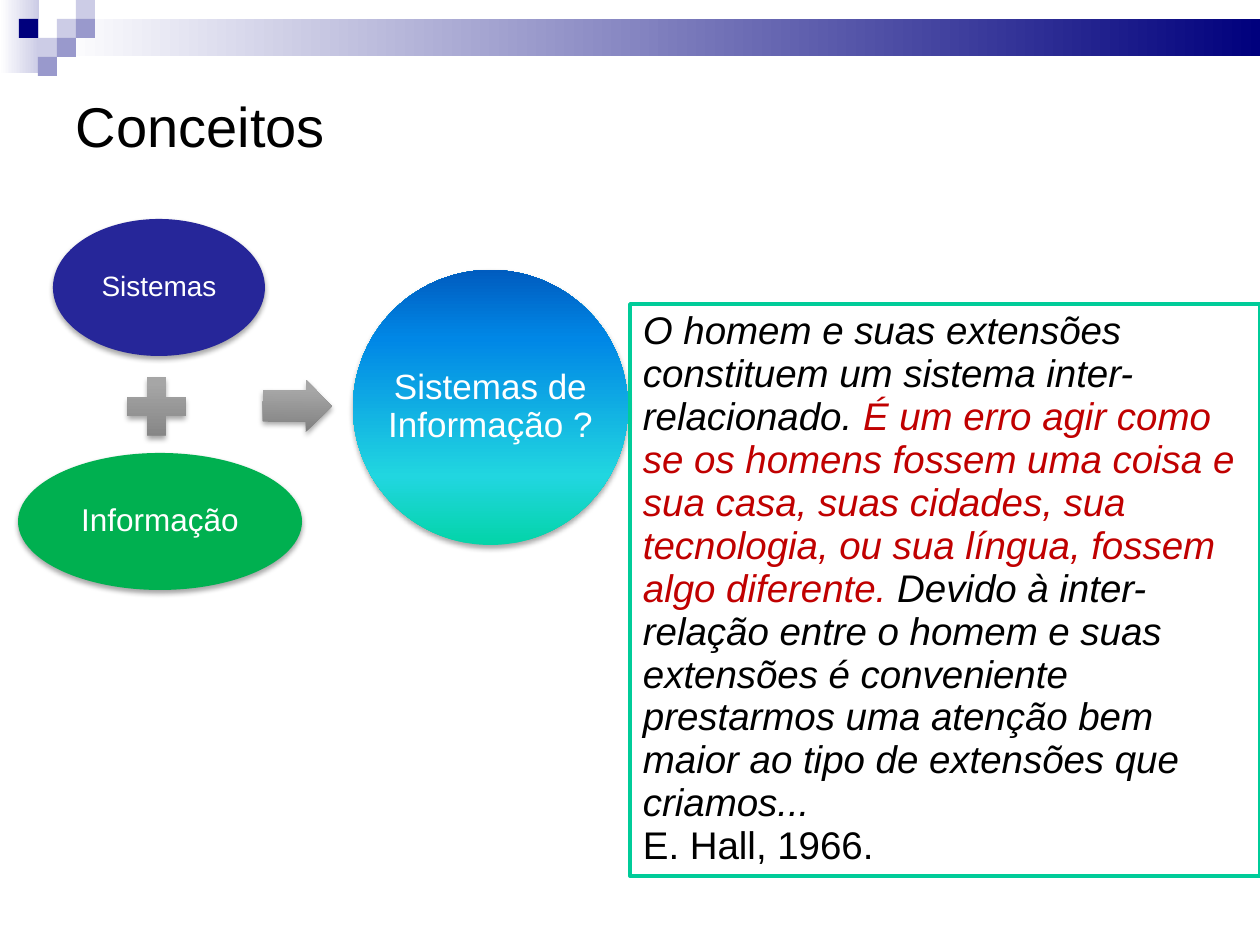
"""Build the slide "Conceitos": systems plus information, beside a quotation."""
from lxml import etree
from pptx import Presentation
from pptx import util as u
from pptx.dml.color import RGBColor
from pptx.enum import shapes, text
from pptx.oxml.ns import qn

PX = 914400 / 126
FONT = "Arial"
BLACK = RGBColor(0, 0, 0)
WHITE = RGBColor(255, 255, 255)
NAVY = RGBColor(0x00, 0x00, 0x7D)
LILAC = RGBColor(0xCC, 0xCC, 0xE6)
VIOLET = RGBColor(0x99, 0x99, 0xCC)
INDIGO = RGBColor(0x26, 0x26, 0x99)
GREEN = RGBColor(0x00, 0xB0, 0x50)
TEAL = RGBColor(0x00, 0xCC, 0x99)
RED = RGBColor(0xC0, 0x00, 0x00)
GREYS = [(0, RGBColor(0x80, 0x80, 0x80)), (80, RGBColor(0xA6, 0xA6, 0xA6)),
         (100, RGBColor(0xA7, 0xA7, 0xA7))]
OCEAN = [(0, RGBColor(0x03, 0xD4, 0xA8)), (25, RGBColor(0x21, 0xD6, 0xE0)),
         (75, RGBColor(0x00, 0x87, 0xE6)), (100, RGBColor(0x00, 0x5C, 0xBF))]

KIND = shapes.MSO_SHAPE
TILE = 19
BANDS = [((0, 0, 39, 73), LILAC), ((57, 19, 1203, 37), NAVY)]
TILES = [(3, 1, LILAC), (4, 0, LILAC), (4, 1, VIOLET), (2, 2, LILAC),
         (1, 1, NAVY), (3, 2, VIOLET), (2, 3, VIOLET)]
TITLE = "Conceitos"
TITLE_AREA = (63, 59, 1134, 198)
DIAGRAM = [
    (KIND.OVAL, (53, 219, 212, 137), INDIGO, "Sistemas", 16),
    (KIND.MATH_PLUS, (117, 367, 79, 79), GREYS, None, None),
    (KIND.OVAL, (18, 453, 284, 137), GREEN, "Informação", 18),
    (KIND.RIGHT_ARROW, (263, 380, 69, 52), GREYS, None, None),
    (KIND.OVAL, (353, 270, 275, 275), OCEAN, "Sistemas de Informação ?", 20),
]
QUOTE_AREA = (630, 304, 630, 572)
QUOTE = [
    [("O homem e suas extensões constituem um sistema inter-relacionado. ", BLACK, True),
     ("É um erro agir como se os homens fossem uma coisa e sua casa, suas cidades, "
      "sua tecnologia, ou sua língua, fossem algo diferente. ", RED, True),
     ("Devido à inter-relação entre o homem e suas extensões é conveniente prestarmos "
      "uma atenção bem maior ao tipo de extensões que criamos...", BLACK, True)],
    [("E. Hall, 1966.", BLACK, False)],
]


def emu(area):
    return [u.Emu(round(length * PX)) for length in area]


def paint(shape, fill, angle=270):
    if isinstance(fill, RGBColor):
        shape.fill.solid()
        shape.fill.fore_color.rgb = fill
        return
    shape.fill.gradient()
    gradient = shape._element.spPr.find(qn("a:gradFill"))
    stops = gradient.find(qn("a:gsLst"))
    for stop in list(stops):
        stops.remove(stop)
    for position, color in fill:
        stop = etree.SubElement(stops, qn("a:gs"), pos=str(position * 1000))
        etree.SubElement(stop, qn("a:srgbClr"), val=str(color))
    gradient.find(qn("a:lin")).set("ang", str(angle * 60000))


def add_figure(page, kind, area, fill, angle=270):
    shape = page.shapes.add_shape(kind, *emu(area))
    shape.shadow.inherit = False
    shape.line.fill.background()
    paint(shape, fill, angle)
    return shape


def cast_shadow(shape):
    effects = shape._element.spPr.find(qn("a:effectLst"))
    shadow = etree.SubElement(effects, qn("a:outerShdw"), blurRad=str(u.Pt(3.1)),
                              dist=str(u.Pt(1.8)), dir="5400000", rotWithShape="0")
    color = etree.SubElement(shadow, qn("a:srgbClr"), val=str(BLACK))
    etree.SubElement(color, qn("a:alpha"), val="35000")


def write(shape, paragraphs, size, spacing=0.93, align=text.PP_ALIGN.LEFT,
          anchor=text.MSO_ANCHOR.TOP, insets=(13, 6, 13, 6)):
    frame = shape.text_frame
    frame.word_wrap = True
    frame.auto_size = text.MSO_AUTO_SIZE.NONE
    frame.vertical_anchor = anchor
    (frame.margin_left, frame.margin_top,
     frame.margin_right, frame.margin_bottom) = emu(insets)
    for index, spans in enumerate(paragraphs):
        para = frame.add_paragraph() if index else frame.paragraphs[0]
        para.alignment = align
        para.line_spacing = spacing
        para.space_before = para.space_after = u.Pt(0)
        for words, color, italic in spans:
            span = para.add_run()
            span.text = words
            span.font.name = FONT
            span.font.size = u.Pt(size)
            span.font.italic = italic
            span.font.color.rgb = color


def main():
    deck = Presentation()
    deck.slide_width, deck.slide_height = u.Inches(10), u.Inches(7.5)
    page = deck.slides.add_slide(deck.slide_layouts[5])

    for area, color in BANDS:
        add_figure(page, KIND.RECTANGLE, area, [(0, color), (100, WHITE)], 180)
    for column, row, color in TILES:
        add_figure(page, KIND.RECTANGLE, (column * TILE, row * TILE, TILE, TILE), color)

    title = page.shapes.title
    title.left, title.top, title.width, title.height = emu(TITLE_AREA)
    write(title, [[(TITLE, BLACK, False)]], 32, insets=(13, 39, 13, 6))

    for kind, area, fill, label, size in DIAGRAM:
        figure = add_figure(page, kind, area, fill)
        cast_shadow(figure)
        if kind == KIND.RIGHT_ARROW:
            figure.adjustments[0] = 0.6
            figure.rotation = 0.5
        if label:
            box = page.shapes.add_textbox(*emu(area))
            write(box, [[(label, WHITE, False)]], size, spacing=0.9,
                  align=text.PP_ALIGN.CENTER, anchor=text.MSO_ANCHOR.MIDDLE,
                  insets=(4, 4, 4, 4))

    quote = page.shapes.add_textbox(*emu(QUOTE_AREA))
    quote.line.color.rgb = TEAL
    quote.line.width = u.Pt(2)
    write(quote, QUOTE, 22)

    deck.save("out.pptx")


if __name__ == "__main__":
    main()
